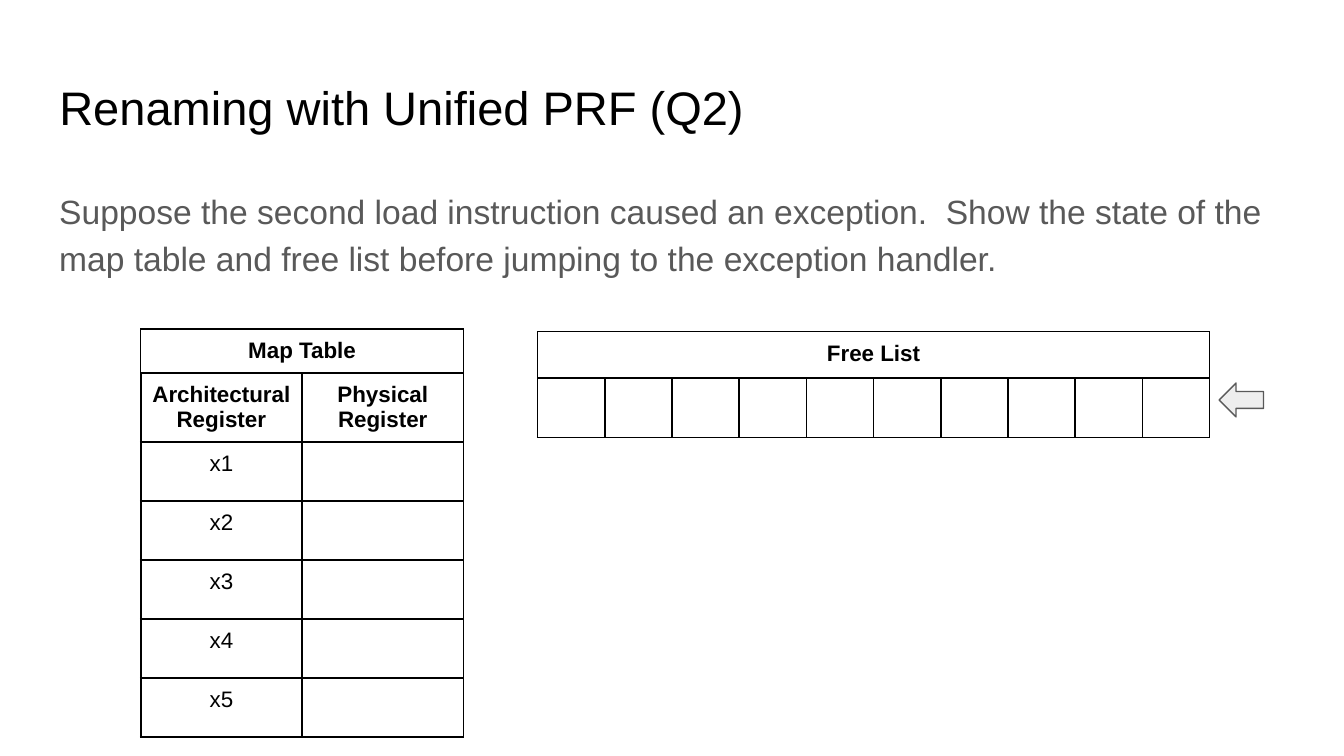
from lxml.etree import SubElement
from pptx import Presentation
from pptx.dml.color import RGBColor
from pptx.enum.shapes import MSO_SHAPE as Shape
from pptx.enum.text import MSO_ANCHOR as Anchor, MSO_AUTO_SIZE as AutoSize, PP_ALIGN as Align
from pptx.oxml.ns import qn
from pptx.util import Cm, Pt

BLACK = RGBColor(0x00, 0x00, 0x00)
GRAY = RGBColor(0x59, 0x59, 0x59)
LIGHT_GRAY = RGBColor(0xEE, 0xEE, 0xEE)


def write_text(frame, text, size=12, color=BLACK, bold=False, align=Align.CENTER,
               line_spacing=1, space_after=0):
    for index, line in enumerate(text.split("\n")):
        paragraph = frame.add_paragraph() if index else frame.paragraphs[0]
        paragraph.alignment = align
        paragraph.line_spacing = line_spacing
        paragraph.space_before = Pt(0)
        paragraph.space_after = Pt(space_after)
        run = paragraph.add_run()
        run.text = line
        run.font.name = "Arial"
        run.font.size = Pt(size)
        run.font.bold = bold
        run.font.color.rgb = color


def add_bordered_table(slide, left, top, column_width, row_heights, rows):
    columns = len(rows[1])
    shape = slide.shapes.add_table(len(rows), columns, Cm(left), Cm(top),
                                   Cm(column_width * columns), Cm(sum(row_heights)))
    table = shape.table
    table.first_row = table.horz_banding = False
    for column in table.columns:
        column.width = Cm(column_width)
    for row, height in zip(table.rows, row_heights):
        row.height = Cm(height)
    table.cell(0, 0).merge(table.cell(0, columns - 1))
    for row_index, texts in enumerate(rows):
        for column_index in range(columns):
            cell = table.cell(row_index, column_index)
            cell.margin_left = cell.margin_right = Cm(0.17)
            cell.margin_top = cell.margin_bottom = Cm(0.17)
            properties = cell._tc.get_or_add_tcPr()
            for side in ("lnL", "lnR", "lnT", "lnB"):
                width = Pt(0.75) if row_index == 0 and side != "lnB" else Pt(1)
                border = SubElement(properties, qn(f"a:{side}"), w=str(width))
                fill = SubElement(border, qn("a:solidFill"))
                SubElement(fill, qn("a:srgbClr"), val=str(BLACK))
            cell.fill.background()
            if column_index < len(texts) and texts[column_index]:
                is_header = not texts[column_index].startswith("x")
                write_text(cell.text_frame, texts[column_index], bold=is_header)


presentation = Presentation()
presentation.slide_width = Cm(25.4)
presentation.slide_height = Cm(14.29)
slide = presentation.slides.add_slide(presentation.slide_layouts[5])

title = slide.shapes.title
title.left, title.top, title.width, title.height = Cm(0.87), Cm(1.24), Cm(23.67), Cm(1.6)
body = slide.shapes.add_textbox(Cm(0.87), Cm(3.25), Cm(23.67), Cm(9.5))
for shape in (title, body):
    frame = shape.text_frame
    frame.word_wrap = True
    frame.auto_size = AutoSize.NONE
    frame.vertical_anchor = Anchor.TOP
    frame.margin_left = frame.margin_right = Cm(0.25)
    frame.margin_top = frame.margin_bottom = Cm(0.25)
write_text(title.text_frame, "Renaming with Unified PRF (Q2)", size=25.2, align=Align.LEFT)
write_text(body.text_frame,
           "Suppose the second load instruction caused an exception.  Show the state of the "
           "map table and free list before jumping to the exception handler.",
           size=18, color=GRAY, align=Align.LEFT, line_spacing=1.15, space_after=12)

map_rows = [["Map Table"], ["Architectural\nRegister", "Physical\nRegister"]]
map_rows += [[f"x{number}", ""] for number in range(1, 6)]
add_bordered_table(slide, 2.66, 6.22, 3.05, [0.83, 1.3] + [1.07] * 5, map_rows)
add_bordered_table(slide, 10.16, 6.27, 1.27, [0.88, 1.07], [["Free List"], [""] * 10])

arrow = slide.shapes.add_shape(Shape.UP_ARROW, Cm(23.14), Cm(7.14), Cm(0.64), Cm(0.84))
arrow.rotation = 270
arrow.shadow.inherit = False
arrow.fill.solid()
arrow.fill.fore_color.rgb = LIGHT_GRAY
arrow.line.color.rgb = GRAY
arrow.line.width = Pt(0.75)

presentation.save("out.pptx")
